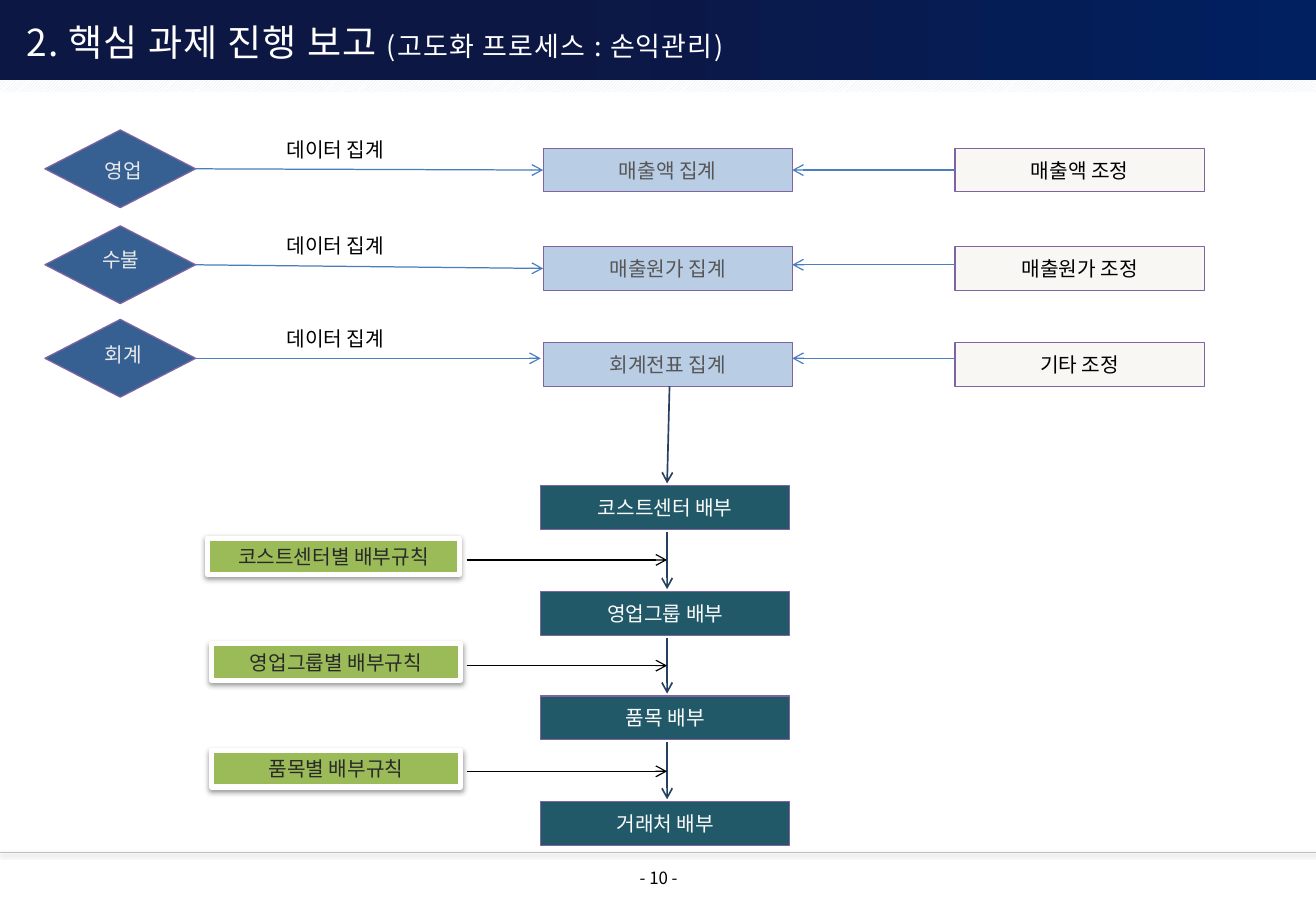
from dataclasses import dataclass

from lxml import etree
from pptx import Presentation
from pptx import util as u
from pptx.dml.color import RGBColor
from pptx.enum import dml, shapes, text
from pptx.oxml import ns

PX = 9144  # one px is a hundredth of an inch


@dataclass(frozen=True)
class Theme:
    font: str = "Noto Sans CJK KR"
    title: int = 22
    subtitle: int = 16
    body: int = 12
    small: int = 10
    white: str = "FFFFFF"
    black: str = "000000"
    navy: str = "0D1743"
    royal: str = "002060"
    stripe: str = "DCE6F2"
    rule: str = "BFBFBF"
    purple: str = "8064A2"
    diamond: str = "376092"
    diamond_text: str = "EAEAEA"
    total: str = "B9CDE5"
    total_text: str = "565656"
    adjust: str = "F8F7F3"
    step: str = "215968"
    step_text: str = "FDFDFD"
    method: str = "9BBB59"
    method_text: str = "292929"
    flow: str = "4B7EBC"
    down: str = "254061"


class Deck:
    def __init__(self, theme, width, height):
        self.t = theme
        self.prs = Presentation()
        self.prs.slide_width, self.prs.slide_height = width * PX, height * PX
        self.s = self.prs.slides.add_slide(self.prs.slide_layouts[6])

    def shape(self, box, kind=shapes.MSO_SHAPE.RECTANGLE, fill=None, line=None, weight=0.75):
        sp = self.s.shapes.add_shape(kind, *(v * PX for v in box))
        sp.shadow.inherit = False
        if fill:
            sp.fill.solid()
            sp.fill.fore_color.rgb = RGBColor.from_string(fill)
        if line:
            sp.line.color.rgb = RGBColor.from_string(line)
            sp.line.width = u.Pt(weight)
        else:
            sp.line.fill.background()
        return sp

    def put_text(self, sp, words, color, size=None, align=text.PP_ALIGN.CENTER,
                 anchor=text.MSO_ANCHOR.MIDDLE, side=10, edge=5):
        tf = sp.text_frame
        tf.word_wrap = True
        tf.vertical_anchor = anchor
        tf.margin_left = tf.margin_right = side * PX
        tf.margin_top = tf.margin_bottom = edge * PX
        p = tf.paragraphs[0]
        p.text = words
        p.alignment = align
        p.font.name = self.t.font
        p.font.size = u.Pt(size or self.t.body)
        p.font.color.rgb = RGBColor.from_string(color)
        return p

    def label(self, box, words, color, **style):
        sp = self.s.shapes.add_textbox(*(v * PX for v in box))
        return self.put_text(sp, words, color, **style)

    def box(self, box, words, fill, color, line, weight=0.75):
        sp = self.shape(box, fill=fill, line=line, weight=weight)
        self.put_text(sp, words, color)
        return sp

    def line(self, start, end, color, weight=0.75, arrow=True, begin=None, finish=None):
        c = self.s.shapes.add_connector(
            shapes.MSO_CONNECTOR.STRAIGHT, *(v * PX for v in (*start, *end)))
        c.line.color.rgb = RGBColor.from_string(color)
        c.line.width = u.Pt(weight)
        spPr = c._element.spPr
        if arrow:
            etree.SubElement(spPr.find(ns.qn("a:ln")), ns.qn("a:tailEnd"), type="arrow")
        etree.SubElement(spPr, ns.qn("a:effectLst"))
        if begin:
            c.begin_connect(*begin)
        if finish:
            c.end_connect(*finish)
        return c

    def shadow(self, sp, blur, dist, alpha):
        effects = sp._element.spPr.find(ns.qn("a:effectLst"))
        outer = etree.SubElement(
            effects, ns.qn("a:outerShdw"), blurRad=str(int(u.Pt(blur))),
            dist=str(int(u.Pt(dist))), dir="5400000", algn="t", rotWithShape="0")
        clr = etree.SubElement(outer, ns.qn("a:srgbClr"), val=self.t.black)
        etree.SubElement(clr, ns.qn("a:alpha"), val=str(alpha * 1000))


def frame(d):
    t = d.t
    # Footer
    d.label((473, 714, 138, 20), "- 10 -", t.black, size=t.small, side=0, edge=0,
            anchor=text.MSO_ANCHOR.TOP)
    d.shadow(d.line((0, 702), (1083, 702), t.rule, 0.25, arrow=False), 3, 1, 20)

    # Title band and the hatched strip under it
    band = d.shape((0, 0, 1083, 67))
    band.fill.gradient()
    band.fill.gradient_angle = 0
    for stop, (place, color) in zip(band.fill.gradient_stops, ((0.41, t.navy), (1, t.royal))):
        stop.position = place
        stop.color.rgb = RGBColor.from_string(color)
    strip = d.shape((0, 66, 1083, 10))
    strip.fill.patterned()
    strip.fill.pattern = dml.MSO_PATTERN.DARK_UPWARD_DIAGONAL
    strip.fill.fore_color.rgb = RGBColor.from_string(t.stripe)
    strip.fill.back_color.rgb = RGBColor.from_string(t.white)

    # Title
    p = d.label((22, 14, 669, 40), "2. 핵심 과제 진행 보고 ", t.white, size=t.title,
                align=text.PP_ALIGN.LEFT, side=0)
    r = p.add_run()
    r.text = "(고도화 프로세스 : 손익관리)"
    r.font.size = u.Pt(t.subtitle)
    for run, spacing in zip(p.runs, ("60", "75")):
        run._r.get_or_add_rPr().set("spc", spacing)


def collection(d):
    t = d.t
    # Source, total and adjustment of each row: diamond, name, box and arrow places
    rows = (
        ("영업", "매출액", "매출액", 107, (54, 125), 122, 140),
        ("수불", "매출원가", "매출원가", 186, (52, 199), 203, 218),
        ("회계", "회계전표", "기타", 263, (54, 277), 282, 295),
    )
    for source, total, adjust, top, name_at, box_top, arrow_y in rows:
        dia = d.shape((37, top, 124, 64), shapes.MSO_SHAPE.DIAMOND, t.diamond, t.purple)
        d.label((*name_at, 95, 30), source, t.diamond_text)
        tot = d.box((447, box_top, 205, 36), f"{total} 집계", t.total, t.total_text, t.purple)
        adj = d.box((786, box_top, 205, 36), f"{adjust} 조정", t.adjust, t.black, t.purple)
        middle = box_top + 18
        level = arrow_y == middle
        to_total = source != "회계"
        d.line((161, top + 32), (447, middle) if to_total else (445, arrow_y), t.flow,
               begin=(dia, 3), finish=(tot, 1) if to_total else None)
        d.line((786, arrow_y), (652, arrow_y), t.flow,
               begin=(adj, 1) if level else None, finish=(tot, 3) if level else None)
        d.label((226, top + 1, 151, 30), "데이터 집계", t.black,
                align=text.PP_ALIGN.LEFT, anchor=text.MSO_ANCHOR.TOP)


def allocation(d):
    t = d.t
    # Steps, with a down arrow into each
    d.line((551, 318), (549, 398), t.down, 1)
    tops = (400, 487, 573, 660)
    for i, (name, top) in enumerate(zip(("코스트센터", "영업그룹", "품목", "거래처"), tops)):
        d.box((445, top, 205, 36), f"{name} 배부", t.step, t.step_text, t.purple)
        if i:
            d.line((549, tops[i - 1] + 38), (549, top - 2), t.down, 1)

    # Rules that act between the steps
    rules = (
        ("코스트센터", (171, 443, 207, 30)),
        ("영업그룹", (174, 530, 205, 30)),
        ("품목", (174, 618, 205, 30)),
    )
    for i, (name, place) in enumerate(rules):
        sp = d.box(place, f"{name}별 배부규칙", t.method, t.method_text, t.white, 3)
        d.shadow(sp, 3.1, 1.6, 38)
        y = 461 + 87 * i
        d.line((384, y), (549, y), t.black)


def main():
    d = Deck(Theme(), 1083, 750)
    frame(d)
    collection(d)
    allocation(d)
    d.prs.save("out.pptx")


if __name__ == "__main__":
    main()
